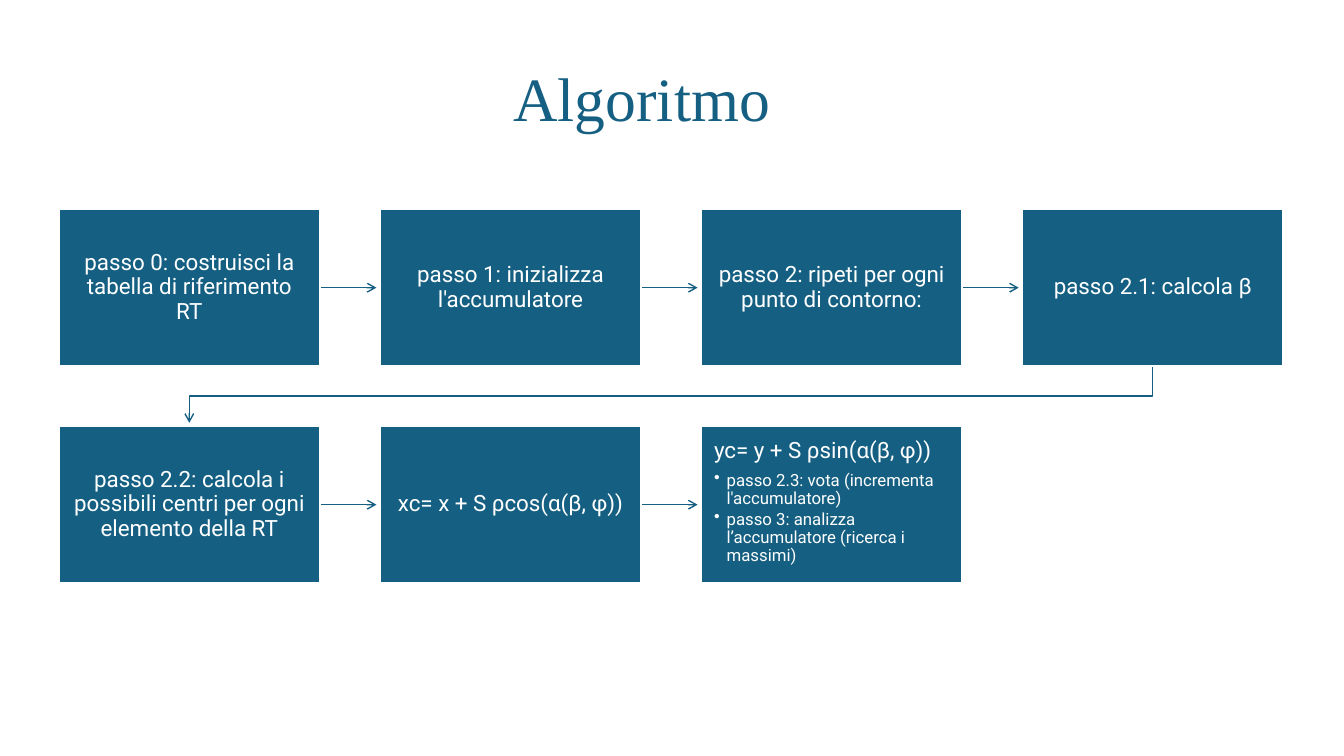
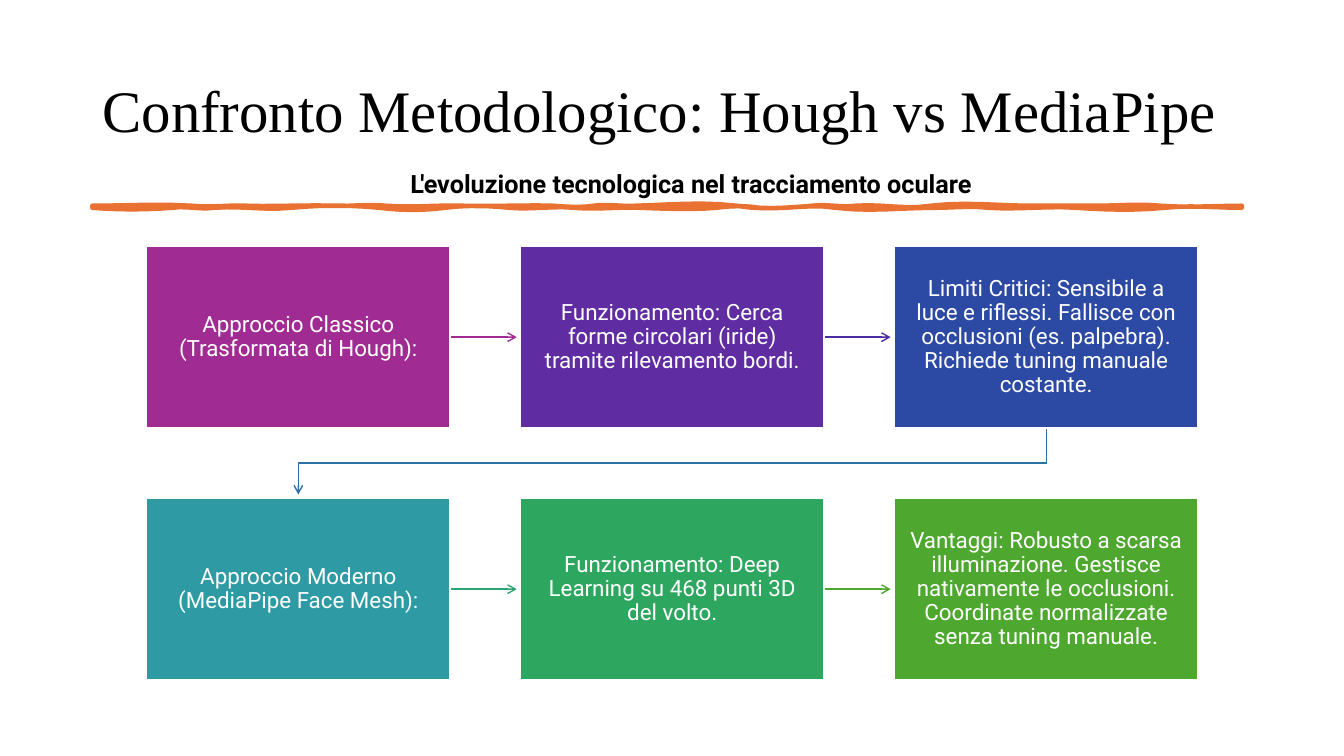
from pptx import Presentation
from pptx.dml.color import RGBColor
from pptx.enum.shapes import MSO_CONNECTOR, MSO_SHAPE
from pptx.enum.text import MSO_ANCHOR as ANCHOR, MSO_AUTO_SIZE as AUTO, PP_ALIGN as ALIGN
from pptx.oxml.ns import qn
from pptx.util import Pt
from lxml.etree import SubElement


def rgb(hex_color):
    return RGBColor.from_string(hex_color)


def style_text(paragraph, size, color, font="Roboto", **values):
    for key, value in values.items():
        setattr(paragraph, key, value)
    paragraph.font.name = font
    paragraph.font.size = Pt(size)
    paragraph.font.color.rgb = rgb(color)


# Shared look
TEAL, ORANGE, WHITE, BLACK = "156082", "E97132", "FFFFFF", "000000"
TITLE_FONT = "Times New Roman"
ARROW_GAP = 2.5

prs = Presentation()
prs.slide_width, prs.slide_height = Pt(960), Pt(540)

# Slide contents: each step is its text, box colour and colour of the arrow that leaves it
algorithm_steps = [
    ["passo 0: costruisci la tabella di riferimento RT"],
    ["passo 1: inizializza l'accumulatore"],
    ["passo 2: ripeti per ogni punto di contorno:"],
    ["passo 2.1: calcola β"],
    ["passo 2.2: calcola i possibili centri per ogni elemento della RT"],
    ["xc= x + S ρcos(α(β, φ))"],
    ["yc= y + S ρsin(α(β, φ))",
     "passo 2.3: vota (incrementa l'accumulatore)",
     "passo 3: analizza l’accumulatore (ricerca i massimi)"],
]
method_steps = [
    (["Approccio Classico (Trasformata di Hough):"], "A02B93", "A02B93"),
    (["Funzionamento: Cerca forme circolari (iride) tramite rilevamento bordi."],
     "5F2CA1", "4B2CA2"),
    (["Limiti Critici: Sensibile a luce e riflessi. Fallisce con occlusioni "
      "(es. palpebra). Richiede tuning manuale costante."], "2C49A3", "2C71A4"),
    (["Approccio Moderno (MediaPipe Face Mesh):"], "2D9AA4", "2DA573"),
    (["Funzionamento: Deep Learning su 468 punti 3D del volto."], "2DA65F", "4EA72E"),
    (["Vantaggi: Robusto a scarsa illuminazione. Gestisce nativamente le occlusioni. "
      "Coordinate normalizzate senza tuning manuale."], "4EA72E", None),
]
pages = [
    dict(title="Algoritmo", title_box=(359.5, 19.5, 263, 106), title_size=44,
         title_color=TEAL, steps=[(lines, TEAL, TEAL) for lines in algorithm_steps],
         columns=4, left=42, top=149.5, width=186.5, height=112,
         pitch_x=229.4, pitch_y=155, inset=9.2),
    dict(title="Confronto Metodologico: Hough vs MediaPipe",
         title_box=(66, 29, 828, 104), title_size=42,
         title_color=BLACK, steps=method_steps,
         columns=3, left=104.5, top=175.7, width=217.2, height=130.3,
         pitch_x=267.1, pitch_y=180, inset=10.8),
]

for page in pages:
    slide = prs.slides.add_slide(prs.slide_layouts[5])
    shapes = slide.shapes

    # Title
    title = shapes.title
    title.left, title.top, title.width, title.height = map(Pt, page["title_box"])
    title.text_frame.text = page["title"]
    title.text_frame.auto_size = AUTO.NONE
    title.text_frame.vertical_anchor = ANCHOR.MIDDLE
    style_text(title.text_frame.paragraphs[0], page["title_size"], page["title_color"],
               TITLE_FONT, alignment=ALIGN.LEFT, line_spacing=0.9)

    # Chain of steps, row by row
    width, height = page["width"], page["height"]
    last = len(page["steps"]) - 1
    for index, (lines, color, arrow_color) in enumerate(page["steps"]):
        row, column = divmod(index, page["columns"])
        x = page["left"] + column * page["pitch_x"]
        y = page["top"] + row * page["pitch_y"]

        # Arrow to the next step: straight in a row, bent at its end
        if index < last:
            if column < page["columns"] - 1:
                middle = y + height / 2
                arrow = shapes.add_connector(
                    MSO_CONNECTOR.STRAIGHT, Pt(x + width), Pt(middle),
                    Pt(x + page["pitch_x"] - ARROW_GAP), Pt(middle))
            else:
                start_x, end_x = x + width / 2, page["left"] + width / 2
                next_top = y + page["pitch_y"]
                turn = (y + height + next_top) / 2
                bend = shapes.build_freeform(Pt(start_x), Pt(y + height))
                bend.add_line_segments(
                    [(Pt(start_x), Pt(turn)), (Pt(end_x), Pt(turn)),
                     (Pt(end_x), Pt(next_top - ARROW_GAP))], close=False)
                arrow = bend.convert_to_shape()
                arrow.fill.background()
            arrow.line.color.rgb = rgb(arrow_color)
            arrow.line.width = Pt(1)
            properties = arrow.element.spPr
            SubElement(properties.find(qn("a:ln")), qn("a:tailEnd"), type="arrow")
            SubElement(properties, qn("a:effectLst"))

        # Step box
        step = shapes.add_shape(MSO_SHAPE.RECTANGLE, Pt(x), Pt(y), Pt(width), Pt(height))
        step.shadow.inherit = False
        step.fill.solid()
        step.fill.fore_color.rgb = rgb(color)
        step.line.color.rgb = rgb(WHITE)
        step.line.width = Pt(1.5)
        has_bullets = len(lines) > 1
        frame = step.text_frame
        frame_format = dict.fromkeys(
            ("margin_left", "margin_top", "margin_right", "margin_bottom"), Pt(page["inset"]))
        frame_format.update(
            word_wrap=True, vertical_anchor=ANCHOR.TOP if has_bullets else ANCHOR.MIDDLE)
        for key, value in frame_format.items():
            setattr(frame, key, value)
        frame.text = "\n".join(lines)
        heading, *bullets = frame.paragraphs
        style_text(heading, 16, WHITE, line_spacing=0.9, space_after=Pt(6),
                   alignment=ALIGN.LEFT if has_bullets else ALIGN.CENTER)
        for bullet in bullets:
            indent = bullet._p.get_or_add_pPr()
            indent.set("marL", str(Pt(9)))
            indent.set("indent", str(-Pt(9)))
            SubElement(indent, qn("a:buChar"), char="•")
            style_text(bullet, 12, WHITE, line_spacing=0.9, space_after=Pt(2),
                       alignment=ALIGN.LEFT)

# Brush stroke under the title of the last slide: end x and two wave offsets per curve
upper_waves = [
    (137, 0, -1.5), (176, 1.5, -0.7), (238, 0.7, -0.7), (276, 0.7, -1.5),
    (331, 1.5, -0.7), (395, 0.7, -0.7), (424, 0.7, 1.5), (454, -1.5, 0.7),
    (526, -0.7, -3), (580, 3, 1.5), (611, -1.5, 1.5), (665, -1.5, 3),
    (737, -3, 0), (783, 0, 0), (829, 0, -1.5), (887, 1.5, 0),
]
lower_waves = [
    (832, 0, -2), (769, 2, 1.5), (706, -1.5, 1.5), (668, -1.5, 0),
    (597, 0, 3), (542, -3, 1.5), (512, -1.5, -1.5), (457, 1.5, 0.7),
    (410, -0.7, 1.5), (364, -1.5, 1.5), (318, -1.5, -2), (271, 2, 2),
    (208, -2, -2), (153, 2, -1.5), (123, 1.5, -1.5), (66, 1.5, 1.5),
]
CURVE_STEPS = 6
outline = []
start_x = 66
for edge_y, waves in ((147, upper_waves), (148.4, lower_waves)):
    outline.append((Pt(start_x), Pt(edge_y)))
    for end_x, first, second in waves:
        for part in range(1, CURVE_STEPS + 1):
            t = part / CURVE_STEPS
            wave = 3 * t * (1 - t) * ((1 - t) * first + t * second)
            outline.append((Pt(start_x + t * (end_x - start_x)), Pt(edge_y + wave)))
        start_x = end_x
brush = shapes.build_freeform(*outline[0])
brush.add_line_segments(outline[1:], close=True)
stroke = brush.convert_to_shape()
stroke.shadow.inherit = False
stroke.fill.solid()
stroke.fill.fore_color.rgb = rgb(ORANGE)
stroke.line.color.rgb = rgb(ORANGE)
stroke.line.width = Pt(3.25)

# Subtitle
subtitle = shapes.add_textbox(Pt(286), Pt(116.5), Pt(428.5), Pt(29)).text_frame
subtitle.word_wrap = True
subtitle.text = "L'evoluzione tecnologica nel tracciamento oculare"
style_text(subtitle.paragraphs[0], 18, BLACK)
subtitle.paragraphs[0].font.bold = True

prs.save("out.pptx")
